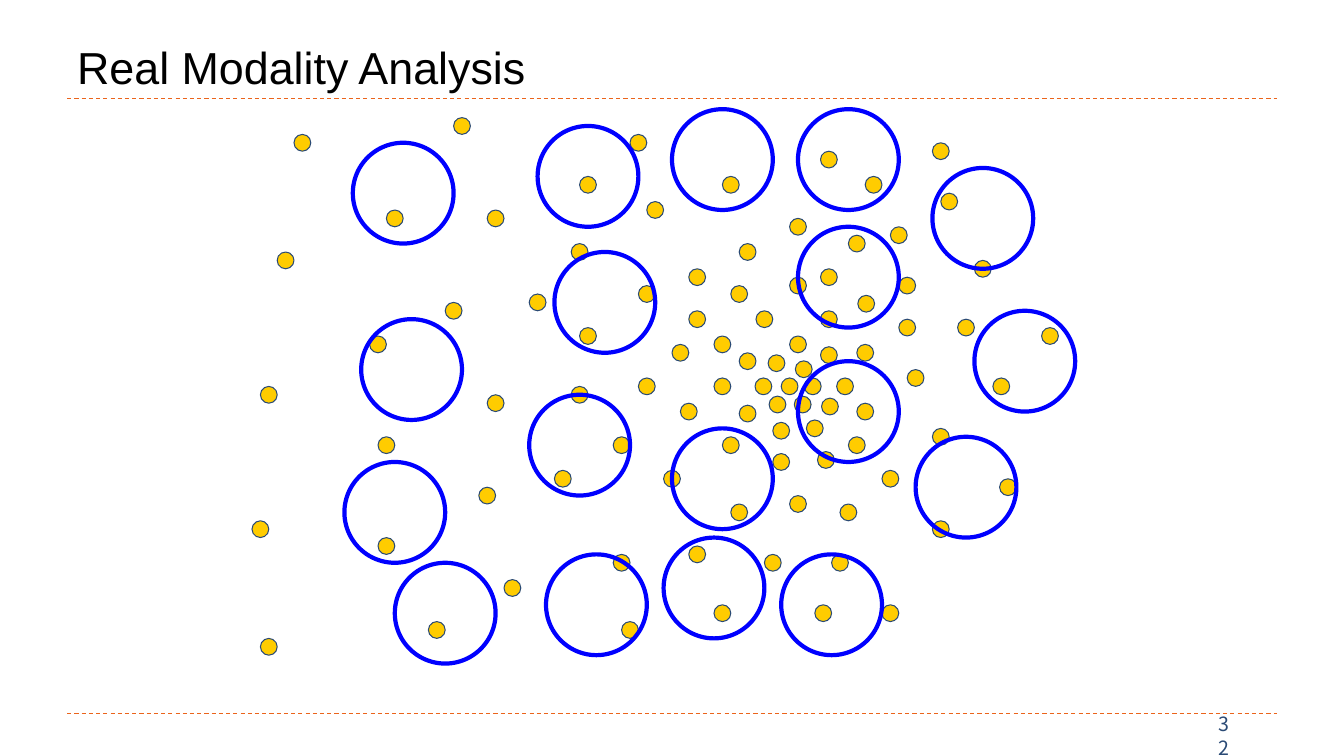
import pptx
import pptx.util
import pptx.dml.color
import pptx.enum.dml
import pptx.enum.shapes
import pptx.enum.text
import pptx.oxml

Inches = pptx.util.Inches
Pt = pptx.util.Pt
RGBColor = pptx.dml.color.RGBColor
Shape = pptx.enum.shapes.MSO_SHAPE
Anchor = pptx.enum.text.MSO_ANCHOR

BLACK = RGBColor(0x00, 0x00, 0x00)
GOLD = RGBColor(0xFF, 0xCC, 0x00)
NAVY = RGBColor(0x2A, 0x4A, 0x75)
BLUE = RGBColor(0x00, 0x00, 0xFF)
RUST = RGBColor(0xEB, 0x64, 0x1B)

WIDE, HIGH = 13.33, 7.5
COLS, ROWS = 160, 90
DOT, RING = 2, 12

DOTS = [
    (93, 45), (95.76, 45), (94.68, 42.96), (91.44, 42.24), (94.56, 47.16),
    (91.56, 47.16), (97.8, 47.4), (89.88, 45), (99.6, 45), (97.68, 41.28),
    (94, 40), (96, 50), (92, 50.28), (88, 48.24), (85, 45), (88, 42),
    (102, 48), (101, 52), (97.32, 53.76), (92, 54), (86, 52), (81, 48),
    (80, 41), (85, 40), (90, 37), (97.68, 37), (94, 33), (82, 37),
    (87, 34), (94, 26), (88, 29), (97.68, 32), (97.68, 18), (101, 28),
    (102.12, 35.16), (102, 41), (107, 38), (107, 33), (106, 27), (103, 21),
    (111, 17), (112, 23), (116, 31), (108, 44), (114, 38), (124, 39),
    (111, 51), (118.2, 45), (105, 56), (119, 57), (111, 62), (100, 60),
    (94, 59), (99, 66), (105, 72), (97, 72), (91, 66), (87, 60),
    (79, 56), (82, 65), (85, 72), (74, 74), (73, 66), (66, 56),
    (73, 52), (76, 45), (69, 39), (76, 34), (82, 32), (77, 24),
    (86, 21), (75, 16), (69, 21), (68, 29), (63, 35), (68, 46),
    (58, 47), (57, 58), (60, 69), (51, 74), (45, 64), (45, 52),
    (53, 36), (58, 25), (46, 25), (44, 40), (30, 62), (31, 76),
    (31, 46), (33, 30), (35, 16), (54, 14),
]
RINGS = [
    (47, 67), (41, 55), (43, 38), (42, 17), (64, 15), (65, 66),
    (79, 64), (93, 66), (109, 52), (116, 37), (111, 20), (95, 13),
    (80, 13), (63, 47), (66, 30), (95, 27), (95, 43), (80, 51),
]


def write(slide, box, text, font, size, color, anchor):
    area = slide.shapes.add_textbox(*map(Inches, box))
    frame = area.text_frame
    frame.word_wrap = True
    frame.vertical_anchor = anchor
    line = frame.paragraphs[0]
    line.text = text
    line.font.name = font
    line.font.size = Pt(size)
    line.font.color.rgb = color


def rule(slide, left, right, y):
    line = slide.shapes.add_connector(
        pptx.enum.shapes.MSO_CONNECTOR.STRAIGHT,
        Inches(left), Inches(y), Inches(right), Inches(y))
    line.line.color.rgb = RUST
    line.line.width = Pt(0.75)
    line.line.dash_style = pptx.enum.dml.MSO_LINE.DASH
    props = line._element.spPr
    props.append(pptx.oxml.parse_xml(
        '<a:effectLst xmlns:a="http://schemas.openxmlformats.org/drawingml/2006/main"/>'))


def header(slide, box):
    left, top, width, height = box
    rule(slide, left, left + width, top + height)
    write(slide, box, "Real Modality Analysis", "Arial", 32, BLACK, Anchor.BOTTOM)


def footer(slide, box):
    left, top, width, height = box
    rule(slide, left, left + width, top)
    write(slide, (left + width * 0.944, top + 0.05, 0.4, height - 0.05),
          "32", "Noto Sans CJK SC", 14, NAVY, Anchor.MIDDLE)


def circles(slide, box, spots, size, fill, color, weight):
    left, top, width, height = box
    dx, dy = width / COLS, height / ROWS
    for col, row in spots:
        disc = slide.shapes.add_shape(
            Shape.OVAL, Inches(left + col * dx), Inches(top + row * dy),
            Inches(size * dx), Inches(size * dy))
        disc.shadow.inherit = False
        if fill is None:
            disc.fill.background()
        else:
            disc.fill.solid()
            disc.fill.fore_color.rgb = fill
        disc.line.color.rgb = color
        disc.line.width = Pt(weight)


def scatter(slide, box):
    circles(slide, box, DOTS, DOT, GOLD, NAVY, 0.75)
    circles(slide, box, RINGS, RING, None, BLUE, 3)


def main():
    deck = pptx.Presentation()
    deck.slide_width = Inches(WIDE)
    deck.slide_height = Inches(HIGH)
    slide = deck.slides.add_slide(deck.slide_layouts[6])
    edge = WIDE * 0.05
    span = WIDE * 0.9
    footer(slide, (edge, 7.08, span, 0.39))
    scatter(slide, (0, 0, WIDE, HIGH))
    header(slide, (edge, 0.17, span, 0.81))
    deck.save("out.pptx")


if __name__ == "__main__":
    main()
